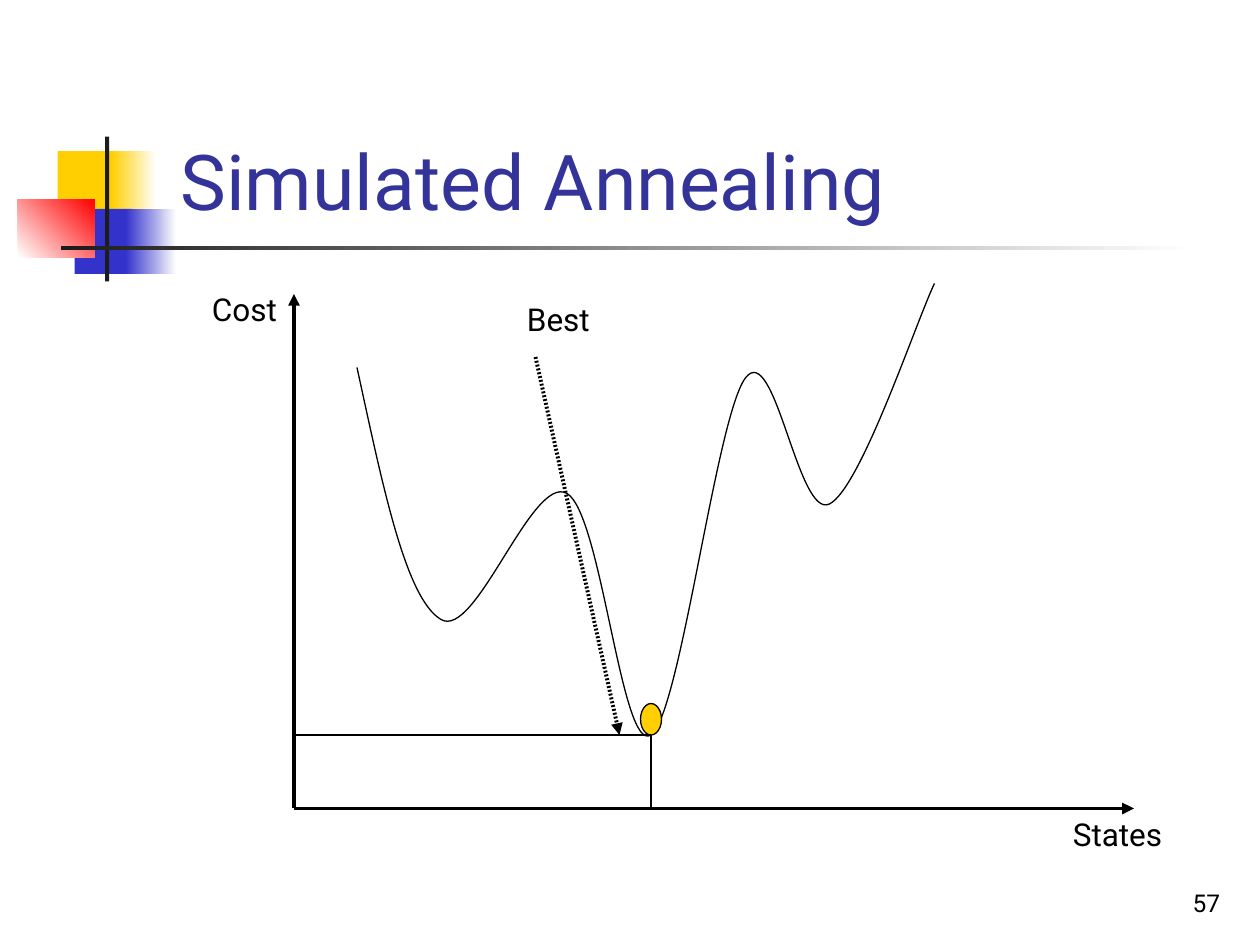
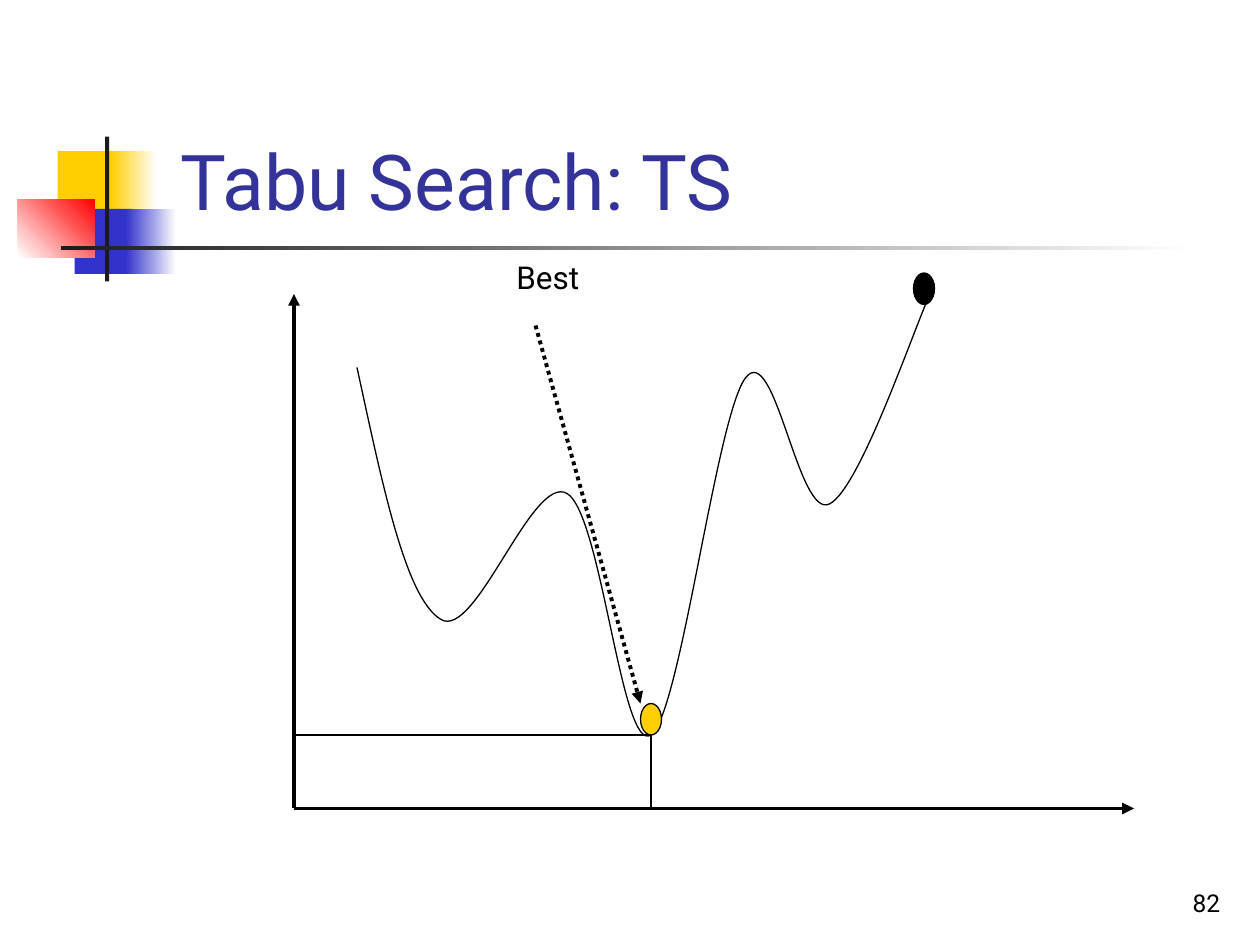
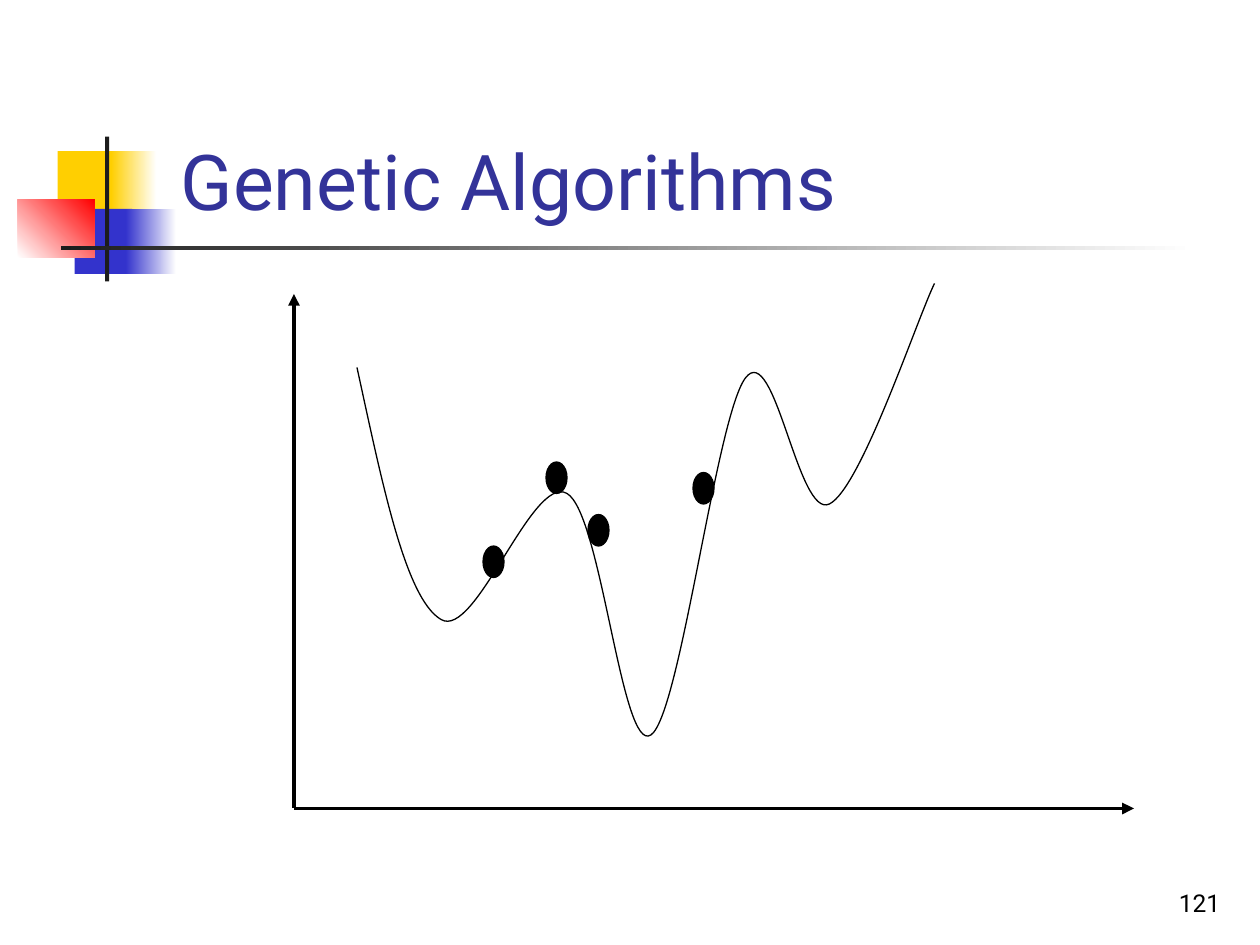
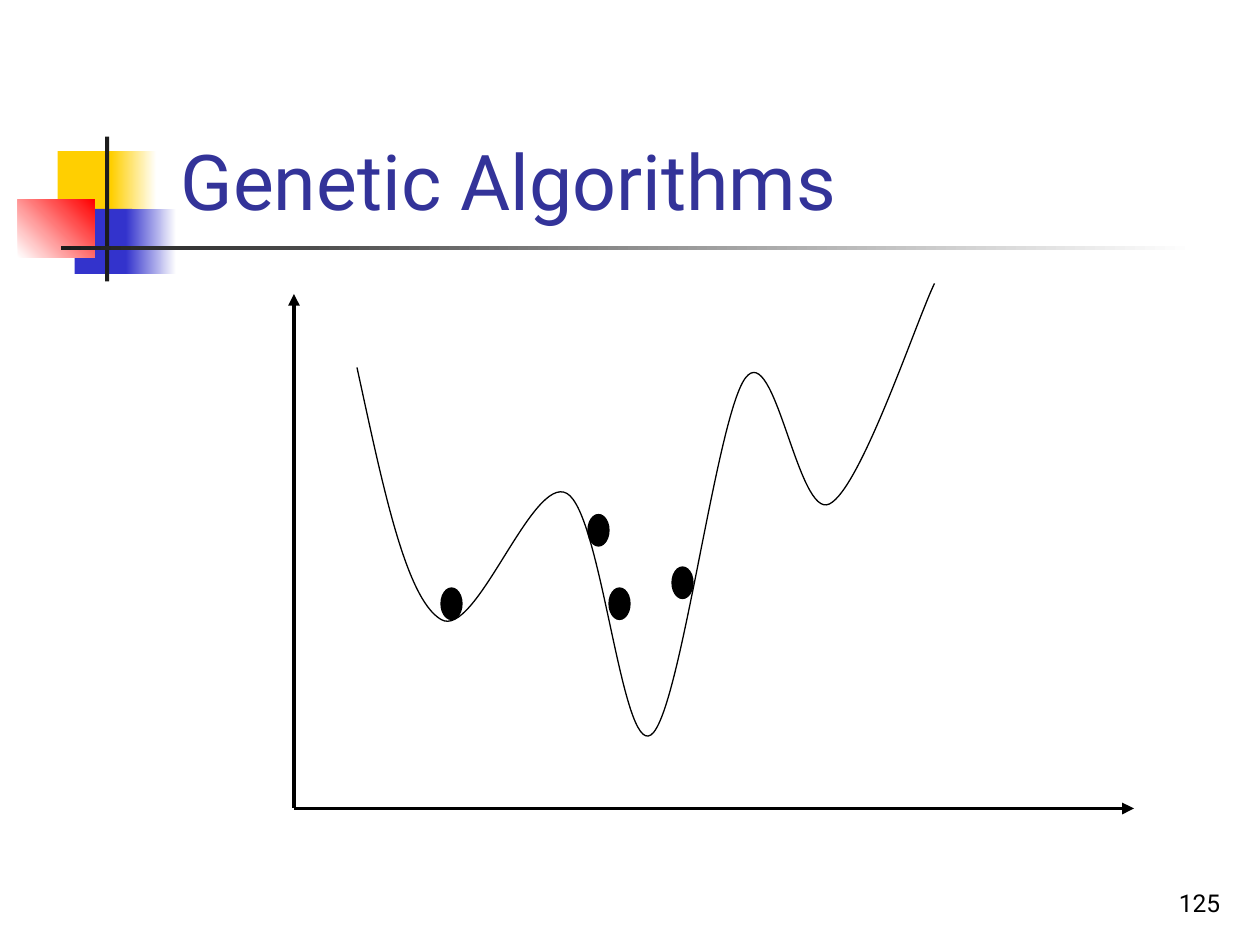
import itertools

import pptx
import pptx.dml.color
import pptx.enum.dml
import pptx.enum.shapes
import pptx.enum.text
import pptx.oxml
import pptx.oxml.ns
import pptx.util

PX = 7620  # EMU in one px, 120 px to the inch
FONT = "Roboto"
RGB = pptx.dml.color.RGBColor
BLACK = RGB(0x00, 0x00, 0x00)
WHITE = RGB(0xFF, 0xFF, 0xFF)
INK = RGB(0x1C, 0x1C, 0x1C)
YELLOW = RGB(0xFF, 0xCF, 0x01)
BLUE = RGB(0x33, 0x33, 0xCC)
RED = RGB(0xFF, 0x00, 0x00)
TITLE_BLUE = RGB(0x33, 0x33, 0x99)

SHAPE = pptx.enum.shapes.MSO_SHAPE
ALIGN = pptx.enum.text.PP_ALIGN
ANCHOR = pptx.enum.text.MSO_ANCHOR
qn = pptx.oxml.ns.qn

# Boxes: left, top, width, height
TITLE_BOX = (160, 113, 1022, 108)
NUMBER_BOX = (924, 820, 250, 60)
PLOT_BOX = (280, 280, 800, 490)

# Emblem parts: box, first colour, last colour, gradient angle
EMBLEM = [
    ((55, 144, 58, 62), YELLOW, None, 0),
    ((106, 144, 43, 62), YELLOW, WHITE, 0),
    ((71, 199, 55, 62), BLUE, None, 0),
    ((120, 199, 48, 62), BLUE, WHITE, 0),
    ((17, 190, 73, 55), WHITE, RED, 45),
    ((100, 130, 4, 138), INK, None, 0),
    ((58, 234, 1080, 4), INK, WHITE, 0),
]

# Cost curve within the plot: a start, then two controls and an end per bend
CURVE = [
    (60, 70),
    (84, 180), (106, 290), (140, 310),
    (173, 330), (227, 171), (260, 190),
    (293, 209), (312, 439), (340, 420),
    (368, 401), (402, 117), (430, 80),
    (458, 43), (480, 215), (510, 200),
    (540, 185), (593, 25), (610, -10),
]
BEST_STATE = (340, 420)
DOT_SIZE = (20, 30)
FINE_DOTS = "fine"
ROUND_DOTS = "round"

# Everything below is placed relative to the plot
SLIDES = [
    dict(title="Simulated Annealing", number="57",
         labels=[("Cost", (-90, -10, 130, 48)),
                 ("States", (730, 490, 140, 48)),
                 ("Best", (210, 0, 100, 48))],
         pointer=((230, 60), (310, 420), FINE_DOTS), dots=[]),
    dict(title="Tabu Search: TS", number="82",
         labels=[("Best", (200, -40, 140, 48))],
         pointer=((230, 30), (330, 390), ROUND_DOTS), dots=[(590, -20)]),
    dict(title="Genetic Algorithms", number="121", labels=[], pointer=None,
         dots=[(240, 160), (180, 240), (280, 210), (380, 170)]),
    dict(title="Genetic Algorithms", number="125", labels=[], pointer=None,
         dots=[(280, 210), (140, 280), (300, 280), (360, 260)]),
]


def emu(lengths):
    return [length * PX for length in lengths]


def shift(box, by):
    """Move a point or box by the left and top of another box."""
    return (box[0] + by[0], box[1] + by[1], *box[2:])


def write(frame, text, size, color=BLACK, align=ALIGN.LEFT, anchor=ANCHOR.TOP):
    frame.text = text
    frame.word_wrap = True
    frame.auto_size = pptx.enum.text.MSO_AUTO_SIZE.NONE
    frame.vertical_anchor = anchor
    para = frame.paragraphs[0]
    para.alignment = align
    span = para.runs[0]
    span.font.name = FONT
    span.font.size = pptx.util.Pt(size)
    span.font.color.rgb = color


def add_text(page, box, text, size, **style):
    write(page.shapes.add_textbox(*emu(box)).text_frame, text, size, **style)


def add_line(page, start, end, width=0.75, arrow=None, dots=None):
    """Draw a line; arrow is headEnd (at start) or tailEnd (at end)."""
    line = page.shapes.add_connector(
        pptx.enum.shapes.MSO_CONNECTOR.STRAIGHT, *emu(start), *emu(end))
    line.line.color.rgb = BLACK
    line.line.width = pptx.util.Pt(width)
    if dots == ROUND_DOTS:
        line.line.dash_style = pptx.enum.dml.MSO_LINE.ROUND_DOT
    properties = line.element.spPr
    stroke = properties.find(qn("a:ln"))
    if dots == FINE_DOTS:
        dash = pptx.oxml.parse_xml(
            f'<a:custDash {pptx.oxml.ns.nsdecls("a")}>'
            '<a:ds d="50000" sp="50000"/></a:custDash>')
        stroke.append(dash)
    if arrow:
        tip = stroke.makeelement(qn(f"a:{arrow}"), {"type": "triangle"})
        stroke.append(tip)
    properties.append(properties.makeelement(qn("a:effectLst"), {}))


def add_emblem(page, layout):
    """Draw the squares and bars, then hand them to the shared layout."""
    for box, first, last, angle in EMBLEM:
        part = page.shapes.add_shape(SHAPE.RECTANGLE, *emu(box))
        part.shadow.inherit = False
        part.line.fill.background()
        if last is None:
            part.fill.solid()
            part.fill.fore_color.rgb = first
        else:
            part.fill.gradient()
            part.fill.gradient_angle = angle
            for stop, color in zip(part.fill.gradient_stops, (first, last)):
                stop.color.rgb = color
        layout.shapes.element.append(part.element)


def add_title(page, box, text):
    title = page.shapes.title
    title.left, title.top, title.width, title.height = emu(box)
    write(title.text_frame, text, 44, color=TITLE_BLUE, anchor=ANCHOR.BOTTOM)


def add_curve(page, plot):
    builder = page.shapes.build_freeform(*CURVE[0], scale=PX)
    builder.add_line_segments(CURVE[1:], close=False)
    curve = builder.convert_to_shape(*emu(plot[:2]))
    curve.shadow.inherit = False
    curve.fill.background()
    curve.line.color.rgb = BLACK
    curve.line.width = pptx.util.Pt(0.75)
    # Join every three segments into one Bezier bend
    segments = list(curve.element.iter(qn("a:lnTo")))
    for bend in itertools.batched(segments, 3) if hasattr(
            itertools, "batched") else zip(*[iter(segments)] * 3):
        bezier = bend[0].makeelement(qn("a:cubicBezTo"), {})
        bend[0].addprevious(bezier)
        for segment in bend:
            bezier.append(segment[0])
            segment.getparent().remove(segment)


def add_dot(page, plot, corner, color=BLACK):
    dot = page.shapes.add_shape(
        SHAPE.OVAL, *emu(shift((*corner, *DOT_SIZE), plot)))
    dot.shadow.inherit = False
    dot.fill.solid()
    dot.fill.fore_color.rgb = color
    dot.line.color.rgb = BLACK
    dot.line.width = pptx.util.Pt(0.75)


def add_best(page, plot, pointer):
    """Mark the best state with a dot, a dotted arrow and two guides."""
    start, end, dots = pointer
    width, height = DOT_SIZE
    x, y = BEST_STATE
    best = shift(BEST_STATE, plot)
    add_line(page, shift(start, plot), shift(end, plot), 2.25, "tailEnd", dots)
    add_dot(page, plot, (x - width // 2, y - height), YELLOW)
    add_line(page, best, shift((x, plot[3]), plot))
    add_line(page, best, shift((0, y), plot))


def add_plot(page, plot, content):
    # Axes
    origin = shift((0, plot[3]), plot)
    add_line(page, plot[:2], origin, 2.25, "headEnd")
    add_line(page, origin, shift(plot[2:], plot), 2.25, "tailEnd")
    add_curve(page, plot)
    # States and labels
    for corner in content["dots"]:
        add_dot(page, plot, corner)
    if content["pointer"]:
        add_best(page, plot, content["pointer"])
    for text, box in content["labels"]:
        add_text(page, shift(box, plot), text, 18)


def main():
    deck = pptx.Presentation()
    deck.slide_width, deck.slide_height = emu((1200, 900))
    layout = deck.slide_layouts.get_by_name("Title Only")
    for index, content in enumerate(SLIDES):
        page = deck.slides.add_slide(layout)
        if index == 0:
            add_emblem(page, layout)
        add_text(page, NUMBER_BOX, content["number"], 14,
                 align=ALIGN.RIGHT, anchor=ANCHOR.BOTTOM)
        add_title(page, TITLE_BOX, content["title"])
        add_plot(page, PLOT_BOX, content)
    deck.save("out.pptx")


if __name__ == "__main__":
    main()
